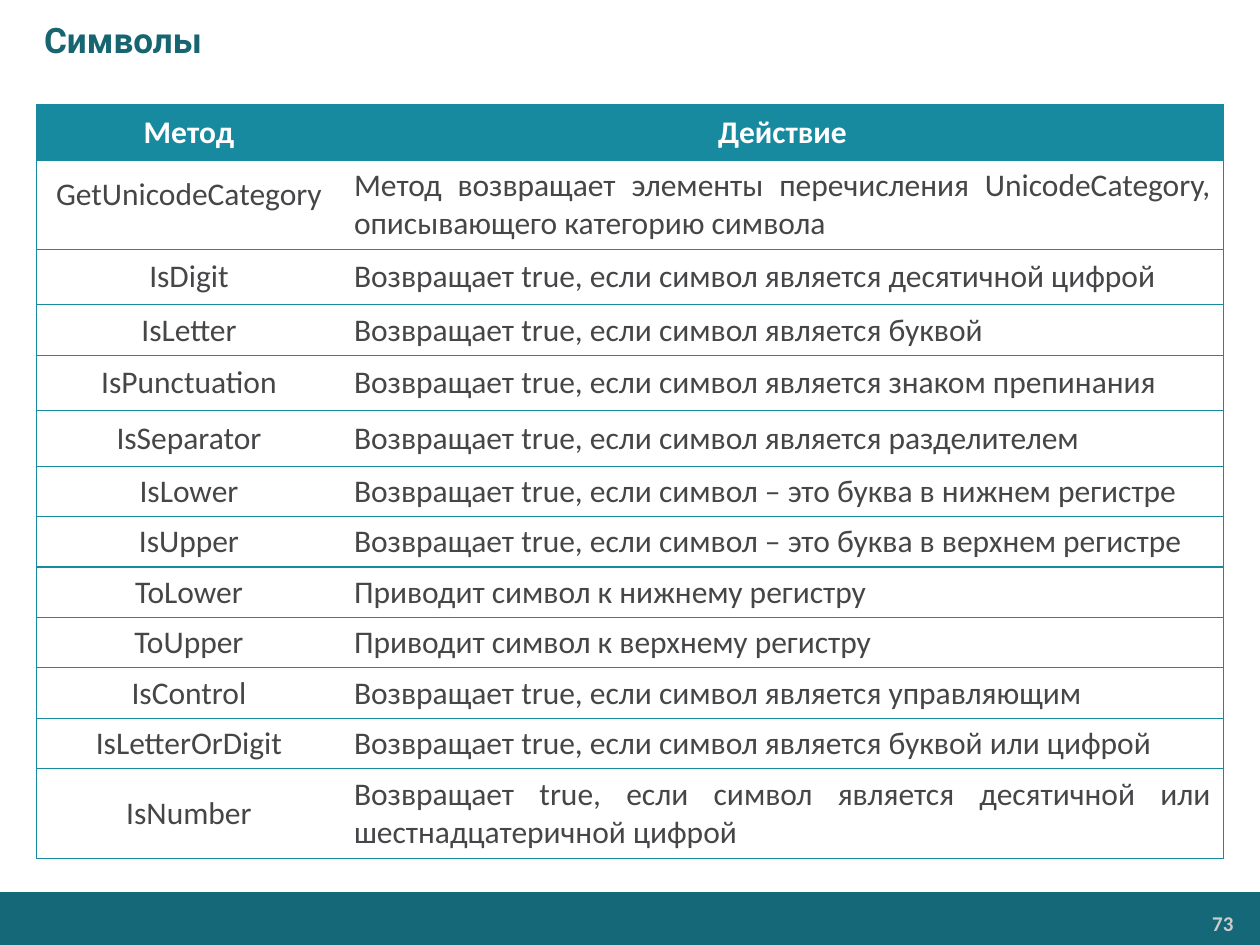
from lxml.etree import SubElement
from pptx import Presentation
from pptx.dml.color import RGBColor
from pptx.enum.shapes import MSO_SHAPE
from pptx.enum.text import MSO_ANCHOR, PP_ALIGN
from pptx.oxml.ns import qn
from pptx.util import Inches, Pt

COLORS = {
    "footer": "146878",
    "page_number": "CCCCCC",
    "title": "176571",
    "header": "178AA0",
    "header_text": "FFFFFF",
    "border": "178AA0",
    "body_text": "464547",
}
SLIDE_WIDTH, SLIDE_HEIGHT = Inches(10), Inches(7.5)
METHOD_SHARE = 2.42 / 9.42
TWO_LINES, TALL, SHORT = 0.71, 0.44, 0.4

HEADINGS = ("Метод", "Действие")
METHODS = [
    ("GetUnicodeCategory", "Метод возвращает элементы перечисления UnicodeCategory, "
     "описывающего категорию символа", TWO_LINES),
    ("IsDigit", "Возвращает true, если символ является десятичной цифрой", TALL),
    ("IsLetter", "Возвращает true, если символ является буквой", SHORT),
    ("IsPunctuation", "Возвращает true, если символ является знаком препинания", TALL),
    ("IsSeparator", "Возвращает true, если символ является разделителем", TALL),
    ("IsLower", "Возвращает true, если символ – это буква в нижнем регистре", SHORT),
    ("IsUpper", "Возвращает true, если символ – это буква в верхнем регистре", SHORT),
    ("ToLower", "Приводит символ к нижнему регистру", SHORT),
    ("ToUpper", "Приводит символ к верхнему регистру", SHORT),
    ("IsControl", "Возвращает true, если символ является управляющим", SHORT),
    ("IsLetterOrDigit", "Возвращает true, если символ является буквой или цифрой", SHORT),
    ("IsNumber", "Возвращает true, если символ является десятичной или "
     "шестнадцатеричной цифрой", TWO_LINES),
]


def rgb(role):
    return RGBColor.from_string(COLORS[role])


def write(frame, text, role, size, align, font="Calibri", bold=False):
    frame.word_wrap = True
    frame.text = text
    paragraph = frame.paragraphs[0]
    paragraph.alignment = align
    style = paragraph.runs[0].font
    style.name, style.size, style.bold = font, Pt(size), bold
    style.color.rgb = rgb(role)
    return paragraph


def add_title(slide, box, text):
    title = slide.shapes.add_textbox(*box)
    frame = title.text_frame
    frame.margin_left = Inches(0.35)
    frame.vertical_anchor = MSO_ANCHOR.MIDDLE
    write(frame, text, "title", 20, PP_ALIGN.LEFT, "Roboto", True)


def add_footer(slide, box, number):
    left, top, width, height = box
    band = slide.shapes.add_shape(MSO_SHAPE.RECTANGLE, *box)
    band.shadow.inherit = False
    band.fill.solid()
    band.fill.fore_color.rgb = rgb("footer")
    band.line.fill.background()

    page = slide.shapes.add_textbox(
        left + int(width * 0.82), top + int(height * 0.26),
        int(width * 0.166), int(height * 0.65))
    frame = page.text_frame
    frame.margin_left = frame.margin_right = Inches(0.07)
    frame.margin_top = frame.margin_bottom = Inches(0.04)
    write(frame, number, "page_number", 12, PP_ALIGN.RIGHT, bold=True)


def set_borders(cell, visible):
    """Draw the sides named in visible (L, R, T, B) and clear the others."""
    properties = cell._tc.get_or_add_tcPr()
    for side in "LRTB":
        line = SubElement(properties, qn(f"a:ln{side}"), w=str(Pt(0.75)))
        if side in visible:
            fill = SubElement(line, qn("a:solidFill"))
            SubElement(fill, qn("a:srgbClr"), val=COLORS["border"])
        else:
            SubElement(line, qn("a:noFill"))


def add_method_table(slide, box):
    left, top, width, height = box
    rows = [(*HEADINGS, TALL), *METHODS]
    table = slide.shapes.add_table(len(rows), 2, *box).table
    table.first_row = table.horz_banding = False
    table.columns[0].width = int(width * METHOD_SHARE)
    table.columns[1].width = width - table.columns[0].width

    for index, (method, action, row_height) in enumerate(rows):
        table.rows[index].height = Inches(row_height)
        is_header = index == 0
        action_align = PP_ALIGN.LEFT
        if is_header:
            action_align = PP_ALIGN.CENTER
        elif row_height == TWO_LINES:
            action_align = PP_ALIGN.JUSTIFY
        parts = ((method, PP_ALIGN.CENTER, "LTB"), (action, action_align, "RTB"))
        for column, (text, align, sides) in enumerate(parts):
            cell = table.cell(index, column)
            cell.vertical_anchor = MSO_ANCHOR.MIDDLE
            set_borders(cell, sides)
            if is_header:
                cell.fill.solid()
                cell.fill.fore_color.rgb = rgb("header")
            else:
                cell.fill.background()
            role = "header_text" if is_header else "body_text"
            write(cell.text_frame, text, role, 18, align, bold=is_header)

    # The longest method name has a tight line and narrow margins.
    longest = table.cell(1, 0)
    longest.margin_left = longest.margin_right = Inches(0.07)
    longest.margin_top = longest.margin_bottom = 0
    paragraph = longest.text_frame.paragraphs[0]
    paragraph.line_spacing = Pt(10)
    paragraph.space_after = Pt(2)


def main():
    presentation = Presentation()
    presentation.slide_width, presentation.slide_height = SLIDE_WIDTH, SLIDE_HEIGHT
    slide = presentation.slides.add_slide(presentation.slide_layouts[6])
    add_footer(slide, (0, Inches(7.08), SLIDE_WIDTH, SLIDE_HEIGHT - Inches(7.08)), "73")
    add_title(slide, (0, 0, SLIDE_WIDTH, Inches(0.63)), "Символы")
    add_method_table(slide, (Inches(0.29), Inches(0.83), Inches(9.42), Inches(6.03)))
    presentation.save("out.pptx")


if __name__ == "__main__":
    main()
